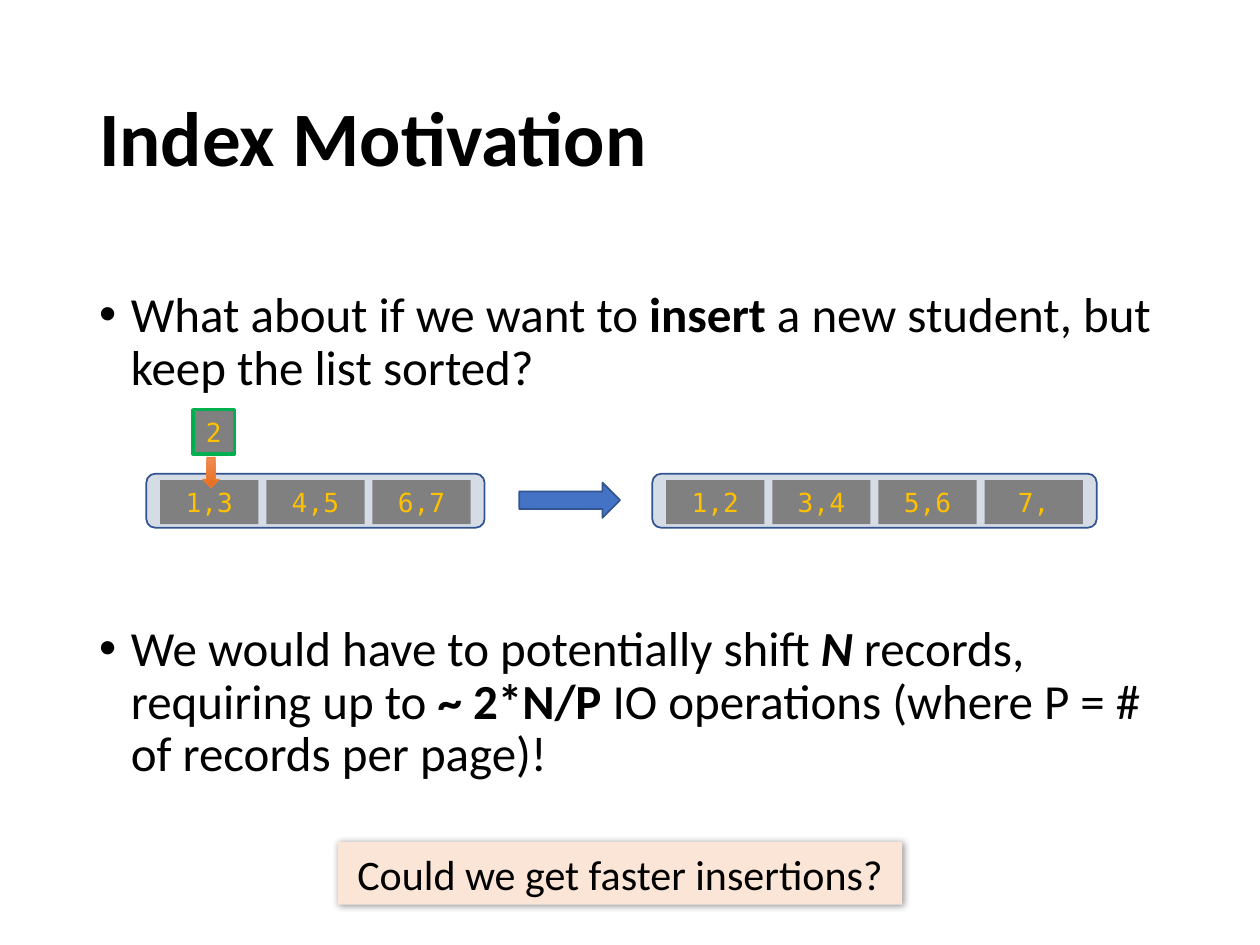
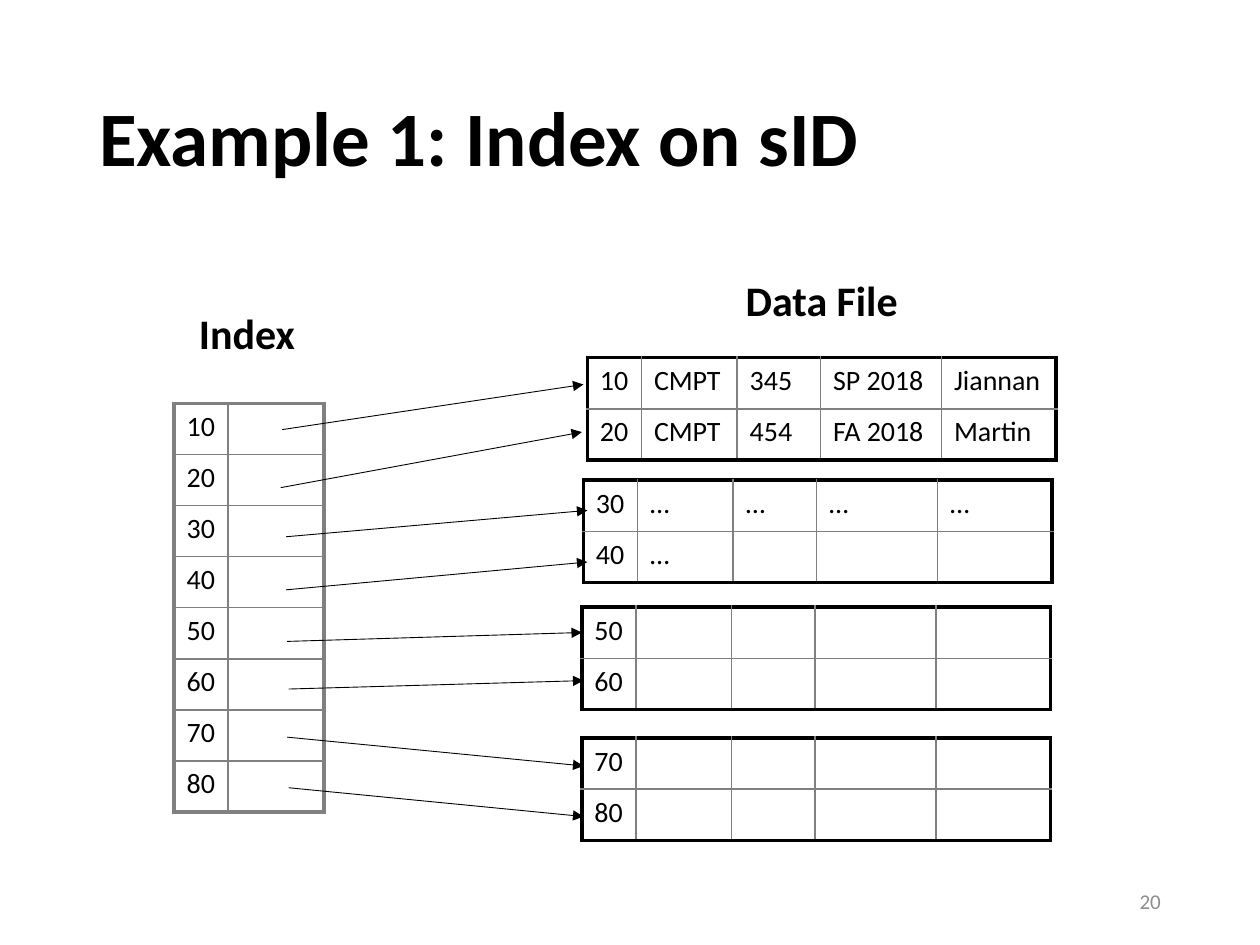
from lxml.etree import SubElement
from pptx import Presentation
from pptx.dml.color import RGBColor
from pptx.enum.shapes import MSO_CONNECTOR, MSO_SHAPE
from pptx.enum.text import MSO_ANCHOR, PP_ALIGN
from pptx.oxml.ns import qn
from pptx.util import Cm, Pt

COLOURS = {
    "text": "000000",
    "grid": "808080",
    "cell": "808080",
    "key": "FFC000",
    "page": "D6DCE5",
    "outline": "325491",
    "shift": "4472C4",
    "new": "00B050",
    "insert": "ED7D31",
    "insert light": "F18C57",
    "insert dark": "E56C19",
    "callout": "FBE5D6",
    "number": "8C8C8C",
}
BODY_FONT = "Calibri"
KEY_FONT = "DejaVu Sans Mono"

TITLE_BOX = (1.75, 1.02, 21.89, 3.68)
NUMBER_BOX = (17.93, 17.65, 5.72, 1.02)
CELL_WIDTH, CELL_HEIGHT, CELL_PITCH = 1.98, 0.89, 2.14
PAGE_HEIGHT, PAGE_PAD_X, PAGE_PAD_Y = 1.09, 0.28, 0.13
ROW_HEIGHT = 1.03
COLUMN_WIDTHS = (1.09, 1.93, 1.68, 2.44, 2.31)

QUESTION = [("What about if we want to ", ""), ("insert", "b"),
            (" a new student, but keep the list sorted?", "")]
COST = [("We would have to potentially shift ", ""), ("N", "bi"),
        (" records, requiring up to ", ""), ("~ 2*N/P ", "b"),
        ("IO operations (where P = # of records per page)!", "")]

# left, top, rows
DATA_PAGES = [
    (11.84, 7.21, [["10", "CMPT", "345", "SP 2018", "Jiannan"],
                   ["20", "CMPT", "454", "FA 2018", "Martin"]]),
    (11.76, 9.68, [["30", "…", "…", "…", "…"], ["40", "…", "", "", ""]]),
    (11.73, 12.24, [["50", "", "", "", ""], ["60", "", "", "", ""]]),
    (11.73, 14.88, [["70", "", "", "", ""], ["80", "", "", "", ""]]),
]
# start x, start y, end x, end y
POINTERS = [
    (5.69, 8.66, 11.76, 7.75),
    (5.66, 9.83, 11.73, 8.71),
    (5.77, 10.82, 11.84, 10.29),
    (5.77, 11.89, 11.84, 11.33),
    (5.79, 12.93, 11.73, 12.75),
    (5.82, 13.89, 11.76, 13.72),
    (5.79, 14.86, 11.76, 15.44),
    (5.82, 15.88, 11.76, 16.46),
]


def colour(name):
    return RGBColor.from_string(COLOURS[name])


def lengths(box):
    return [Cm(value) for value in box]


def style_font(font, size, name="text", family=BODY_FONT, bold=False, italic=False):
    font.size, font.name = Pt(size), family
    font.bold, font.italic = bold, italic
    font.color.rgb = colour(name)


def add_text(slide, box, text, size, name="text", bold=False, align=PP_ALIGN.LEFT,
             anchor=MSO_ANCHOR.TOP):
    frame = slide.shapes.add_textbox(*lengths(box)).text_frame
    frame.word_wrap = True
    frame.vertical_anchor = anchor
    frame.text = text
    para = frame.paragraphs[0]
    para.alignment = align
    for span in para.runs:
        style_font(span.font, size, name, bold=bold)
    return para


def add_title(slide, text):
    para = add_text(slide, TITLE_BOX, text, 44, bold=True, anchor=MSO_ANCHOR.MIDDLE)
    para.line_spacing = 0.9


def add_bullet(slide, box, pieces):
    """Add one bulleted paragraph from (text, style letters) pieces."""
    para = add_text(slide, box, "", 28)
    para.line_spacing = 0.9
    properties = para._p.get_or_add_pPr()
    properties.set("marL", str(Cm(0.64)))
    properties.set("indent", str(-Cm(0.64)))
    SubElement(properties, qn("a:buFont"), typeface="Arial")
    SubElement(properties, qn("a:buChar"), char="•")
    for text, style in pieces:
        span = para.add_run()
        span.text = text
        style_font(span.font, 28, bold="b" in style, italic="i" in style)


def add_block(slide, kind, box, fill, line=None, width=1):
    shape = slide.shapes.add_shape(kind, *lengths(box))
    shape.shadow.inherit = False
    shape.fill.solid()
    shape.fill.fore_color.rgb = colour(fill)
    if line:
        shape.line.color.rgb = colour(line)
        shape.line.width = Pt(width)
    else:
        shape.line.fill.background()
    return shape


def label(shape, text, size, name, family=BODY_FONT):
    frame = shape.text_frame
    frame.word_wrap = True
    frame.vertical_anchor = MSO_ANCHOR.MIDDLE
    frame.text = text
    para = frame.paragraphs[0]
    para.alignment = PP_ALIGN.CENTER
    style_font(para.runs[0].font, size, name, family)


def add_key_cell(slide, box, text, line=None):
    cell = add_block(slide, MSO_SHAPE.RECTANGLE, box, "cell", line, 2)
    label(cell, text, 15, "key", KEY_FONT)
    return cell


def add_sorted_list(slide, left, top, keys):
    """Draw a rounded frame holding one grey cell per page of keys."""
    width = 2 * PAGE_PAD_X + (len(keys) - 1) * CELL_PITCH + CELL_WIDTH
    add_block(slide, MSO_SHAPE.ROUNDED_RECTANGLE, (left, top, width, PAGE_HEIGHT),
              "page", "outline")
    for position, key in enumerate(keys):
        add_key_cell(slide, (left + PAGE_PAD_X + position * CELL_PITCH,
                             top + PAGE_PAD_Y, CELL_WIDTH, CELL_HEIGHT), key)


def add_insertion(slide, left, top):
    """Draw the list before and after key 2 goes in."""
    add_sorted_list(slide, left, top, ["1,3", "4,5", "6,7"])
    add_block(slide, MSO_SHAPE.RIGHT_ARROW, (left + 7.52, top + 0.18, 2.03, 0.71),
              "shift", "outline")
    add_sorted_list(slide, left + 10.2, top, ["1,2", "3,4", "5,6", "7,"])
    arrow = add_block(slide, MSO_SHAPE.DOWN_ARROW, (left + 1.14, top - 0.33, 0.33, 0.61),
                      "insert", "insert", 0.5)
    arrow.fill.gradient()
    arrow.fill.gradient_angle = 270
    for stop, name in zip(arrow.fill.gradient_stops, ("insert light", "insert dark")):
        stop.color.rgb = colour(name)
    new_key = add_key_cell(slide, (left + 0.94, top - 1.29, 0.84, CELL_HEIGHT), "2", "new")
    new_key.text_frame.margin_left = new_key.text_frame.margin_right = 0


def add_callout(slide, box, text):
    shape = add_block(slide, MSO_SHAPE.RECTANGLE, box, "callout")
    label(shape, text, 24, "text")
    effects = shape._element.spPr.find(qn("a:effectLst"))
    shadow = SubElement(effects, qn("a:outerShdw"), blurRad=str(Pt(4)), dist=str(Pt(1)),
                        dir="2700000", algn="tl", rotWithShape="0")
    tint = SubElement(shadow, qn("a:srgbClr"), val=COLOURS["text"])
    SubElement(tint, qn("a:alpha"), val="40000")


def set_border(cell, side, name, width):
    line = SubElement(cell._tc.get_or_add_tcPr(), qn(f"a:ln{side}"), w=str(Pt(width)))
    SubElement(SubElement(line, qn("a:solidFill")), qn("a:srgbClr"), val=COLOURS[name])


def add_grid(slide, left, top, rows, outer):
    """Add a table with thin grey inner lines and a thick outer frame."""
    widths = COLUMN_WIDTHS[:len(rows[0])]
    box = (left, top, sum(widths), ROW_HEIGHT * len(rows))
    table = slide.shapes.add_table(len(rows), len(widths), *lengths(box)).table
    table.first_row = table.horz_banding = False
    for column, width in zip(table.columns, widths):
        column.width = Cm(width)
    for row_index, row in enumerate(rows):
        table.rows[row_index].height = Cm(ROW_HEIGHT)
        for column_index, text in enumerate(row):
            cell = table.cell(row_index, column_index)
            edges = {"L": column_index == 0, "R": column_index == len(row) - 1,
                     "T": row_index == 0, "B": row_index == len(rows) - 1}
            for side, on_frame in edges.items():
                set_border(cell, side, *((outer, 2.25) if on_frame else ("grid", 1)))
            cell.fill.background()
            cell.margin_bottom = 0
            cell.text = text
            for span in cell.text_frame.paragraphs[0].runs:
                style_font(span.font, 16)


def add_pointer(slide, ends):
    pointer = slide.shapes.add_connector(MSO_CONNECTOR.STRAIGHT, *lengths(ends))
    pointer.line.color.rgb = colour("text")
    pointer.line.width = Pt(0.5)
    SubElement(pointer.line._get_or_add_ln(), qn("a:tailEnd"), type="triangle")
    SubElement(pointer._element.spPr, qn("a:effectLst"))


def build_motivation(slide):
    add_title(slide, "Index Motivation")
    add_bullet(slide, (1.75, 5.72, 21.92, 2.5), QUESTION)
    add_bullet(slide, (1.75, 12.45, 21.92, 3.5), COST)
    add_insertion(slide, 2.95, 9.55)
    add_callout(slide, (6.81, 16.97, 11.38, 1.27), "Could we get faster insertions?")


def build_index_example(slide):
    add_title(slide, "Example 1: Index on sID")
    add_text(slide, NUMBER_BOX, "20", 12, "number", align=PP_ALIGN.RIGHT,
             anchor=MSO_ANCHOR.MIDDLE)
    for left, top, rows in DATA_PAGES:
        add_grid(slide, left, top, rows, "text")
    index_rows = [[row[0], ""] for _, _, rows in DATA_PAGES for row in rows]
    add_grid(slide, 3.51, 8.13, index_rows, "grid")
    add_text(slide, (3.76, 6.07, 2.6, 1.27), "Index", 24, bold=True)
    add_text(slide, (14.78, 5.41, 3.8, 1.27), "Data File", 24, bold=True)
    for ends in POINTERS:
        add_pointer(slide, ends)


def main():
    deck = Presentation()
    deck.slide_width, deck.slide_height = Cm(25.4), Cm(19.05)
    for build in (build_motivation, build_index_example):
        build(deck.slides.add_slide(deck.slide_layouts[6]))
    deck.save("out.pptx")


if __name__ == "__main__":
    main()
